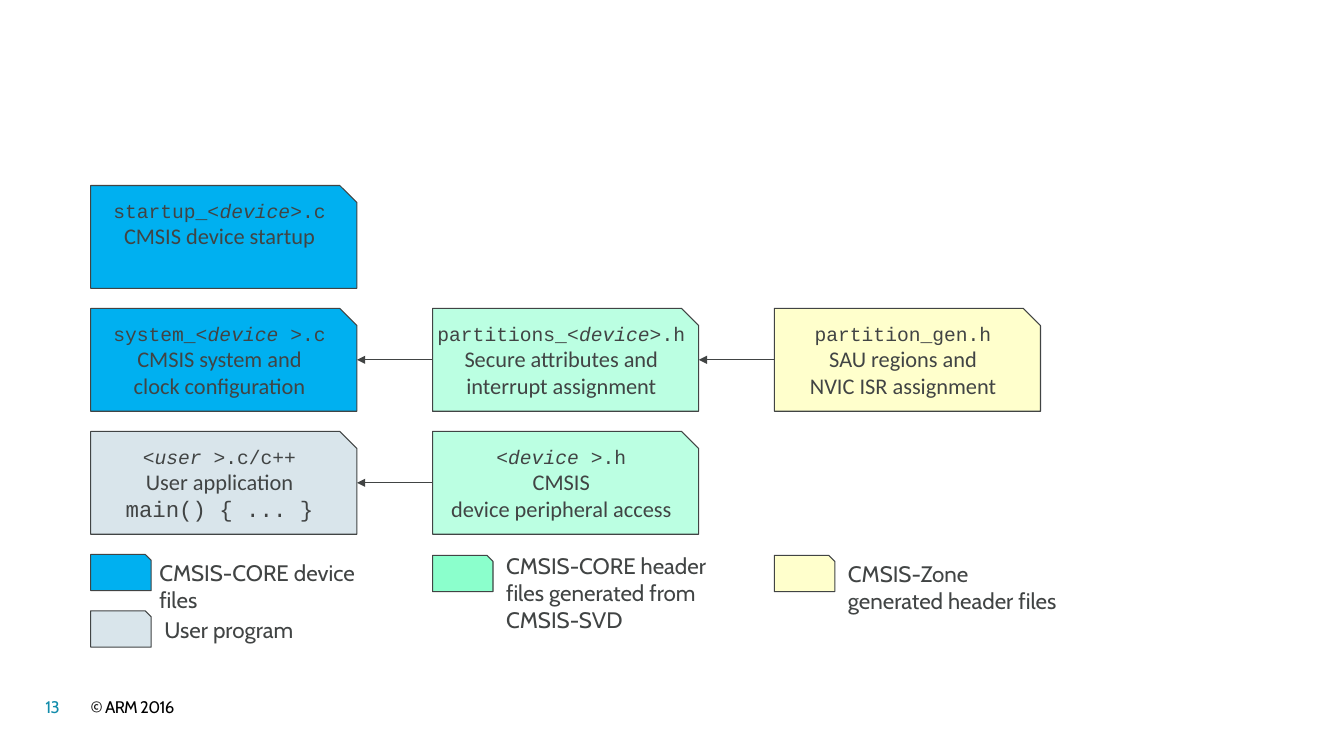
from lxml import etree
from pptx import Presentation
from pptx.dml.color import RGBColor
from pptx.enum.shapes import MSO_CONNECTOR, MSO_SHAPE
from pptx.enum.text import MSO_ANCHOR, PP_ALIGN
from pptx.oxml.ns import qn
from pptx.util import Inches, Pt

SNIP = MSO_SHAPE.SNIP_1_RECTANGLE
STRAIGHT = MSO_CONNECTOR.STRAIGHT
MIDDLE, TOP = MSO_ANCHOR.MIDDLE, MSO_ANCHOR.TOP
CENTER, LEFT = PP_ALIGN.CENTER, PP_ALIGN.LEFT
SIDE_L, SIDE_R = 1, 3

INK = {"core": "00B0F0", "user": "B5CDD8", "head": "BBFFE2", "svd": "77FFC4",
       "zone": "FFFFCC", "text": "414444", "black": "000000", "page": "128CAB"}
CODE, BODY, SANS = "Courier New", "Calibri", "Cabin"
COLS = [0.9 + 3.39 * i for i in range(3)]
ROWS = [1.84 + 1.22 * i for i in range(3)]


def color(name):
    return RGBColor.from_string(INK[name])


def text(para, words, font=SANS, size=16, ink="text", italic=False, track=0):
    """Add one run; track is letter spacing in hundredths of a point."""
    run = para.add_run()
    run.text = words
    run.font.name, run.font.size = font, Pt(size)
    run.font.italic = italic
    run.font.color.rgb = color(ink)
    if track:
        run.font._element.set("spc", str(track))


class Board:
    def __init__(self, slide):
        self.slide = slide
        self.shapes = slide.shapes

    def outline(self, line):
        line.color.rgb = color("text")
        line.width = Pt(0.75)

    def card(self, x, y, w, h, ink, alpha=100):
        shape = self.shapes.add_shape(SNIP, Inches(x), Inches(y), Inches(w), Inches(h))
        shape.shadow.inherit = False
        shape.fill.solid()
        shape.fill.fore_color.rgb = color(ink)
        if alpha < 100:
            tint = shape._element.spPr.find(".//" + qn("a:srgbClr"))
            etree.SubElement(tint, qn("a:alpha")).set("val", str(alpha * 1000))
        self.outline(shape.line)
        return shape

    def file(self, col, row, ink, name, lines, alpha=100):
        """Draw a file card; name holds (words, italic) pairs, lines (words, font)."""
        shape = self.card(COLS[col], ROWS[row], 2.64, 1.02, ink, alpha)
        frame = shape.text_frame
        frame.word_wrap = False
        frame.vertical_anchor = TOP
        para = frame.paragraphs[0]
        para.alignment = CENTER
        for words, italic in name:
            text(para, words, font=CODE, size=14, italic=italic)
        for words, font in lines:
            para = frame.add_paragraph()
            para.alignment = CENTER
            text(para, words, font=font)
        return shape

    def link(self, start, end):
        line = self.shapes.add_connector(STRAIGHT, 0, 0, 0, 0)
        line.begin_connect(start, SIDE_L)
        line.end_connect(end, SIDE_R)
        self.outline(line.line)
        tail = etree.SubElement(line.line._get_or_add_ln(), qn("a:tailEnd"))
        tail.set("type", "triangle")
        etree.SubElement(line._element.spPr, qn("a:effectLst"))

    def note(self, x, y, w, h, words, pad=(0.13, 0.07), anchor=TOP, lead=None, **style):
        frame = self.shapes.add_textbox(Inches(x), Inches(y), Inches(w), Inches(h)).text_frame
        frame.word_wrap = True
        frame.vertical_anchor = anchor
        frame.margin_left = frame.margin_right = Inches(pad[0])
        frame.margin_top = frame.margin_bottom = Inches(pad[1])
        para = frame.paragraphs[0]
        para.alignment = LEFT
        if lead:
            para.line_spacing = Pt(lead)
        text(para, words, **style)

    def foot(self, x, w, words, ink):
        self.note(x, 6.97, w, 0.15, words, pad=(0, 0), anchor=MIDDLE,
                  lead=10, size=12, ink=ink, track=-50)


def main():
    deck = Presentation()
    deck.slide_width, deck.slide_height = Inches(13.33), Inches(7.5)
    board = Board(deck.slides.add_slide(deck.slide_layouts[6]))

    board.foot(0.9, 4.22, "© ARM 2016", "black")
    board.foot(0.45, 0.35, "13", "page")

    board.file(0, 0, "core", [("startup_<", False), ("device", True), (">.c", False)],
               [("CMSIS device startup", BODY)])
    system = board.file(0, 1, "core",
                        [("system_<", False), ("device ", True), (">.c", False)],
                        [("CMSIS system and", BODY), ("clock configuration", BODY)])
    user = board.file(0, 2, "user",
                      [("<", False), ("user ", True), (">.c/c++", False)],
                      [("User application", BODY), ("main() { ... }", CODE)], alpha=50)
    device = board.file(1, 2, "head",
                        [("<", False), ("device ", True), (">.h", False)],
                        [("CMSIS", BODY), ("device peripheral access", BODY)])
    parts = board.file(1, 1, "head",
                       [("partitions_", False), ("<device>", True), (".h", False)],
                       [("Secure attributes and", BODY), ("interrupt assignment", BODY)])
    zone = board.file(2, 1, "zone", [("partition_gen.h", False)],
                      [("SAU regions and", BODY), ("NVIC ISR assignment", BODY)])

    for start, end in [(device, user), (parts, system), (zone, parts)]:
        board.link(start, end)

    legend = [
        (0, 5.5, "core", 100, (1.45, 5.48, 2.58, 0.4), "CMSIS-CORE device files"),
        (0, 6.06, "user", 50, (1.5, 6.04, 1.64, 0.4), "User program"),
        (1, 5.51, "svd", 85, (4.89, 5.41, 2.27, 0.94),
         "CMSIS-CORE header files generated from CMSIS-SVD"),
        (2, 5.51, "zone", 100, (8.28, 5.49, 2.4, 0.67), "CMSIS-Zone generated header files"),
    ]
    for col, y, ink, alpha, area, words in legend:
        board.card(COLS[col], y, 0.6, 0.36, ink, alpha)
        board.note(*area, words)

    deck.save("out.pptx")


if __name__ == "__main__":
    main()
